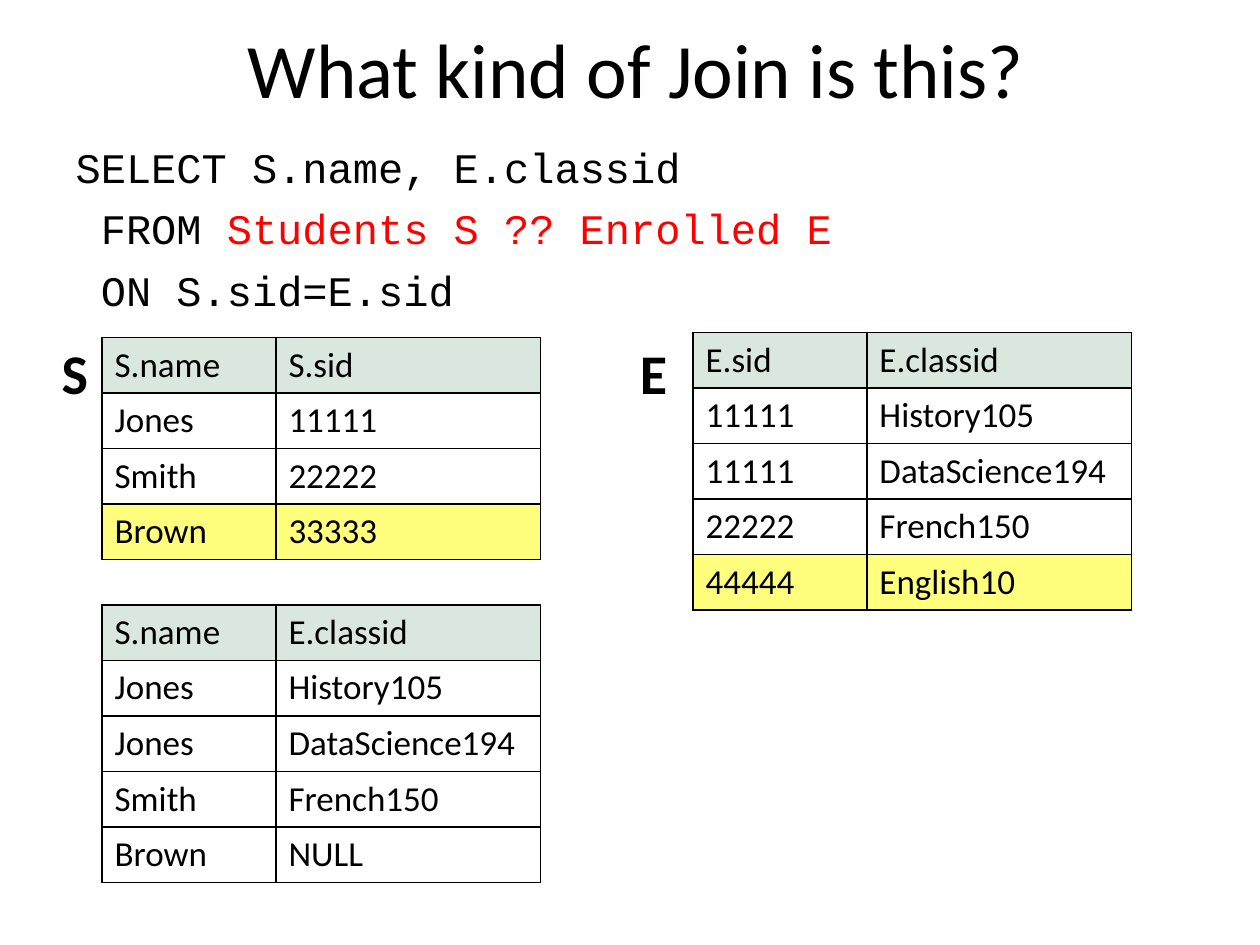
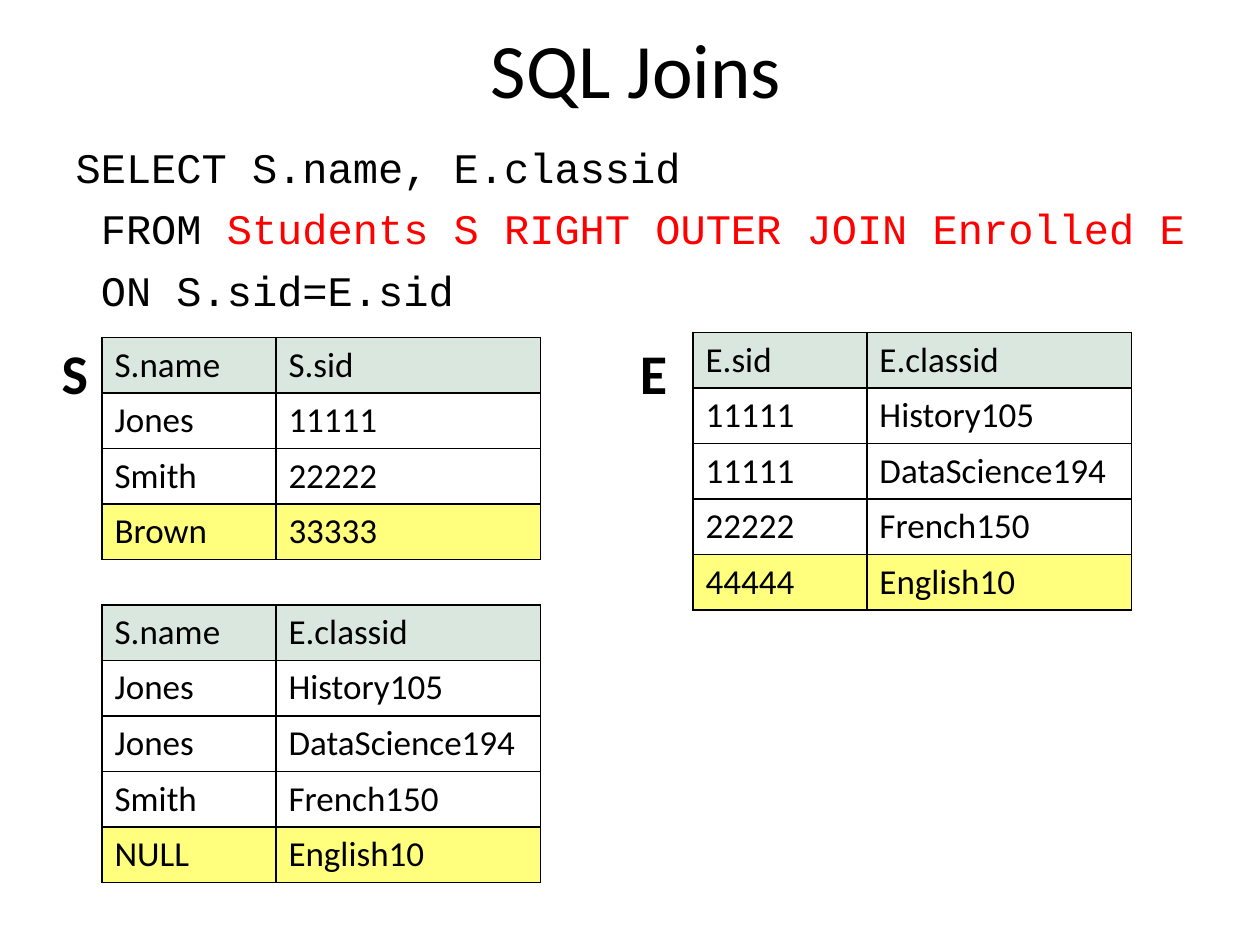
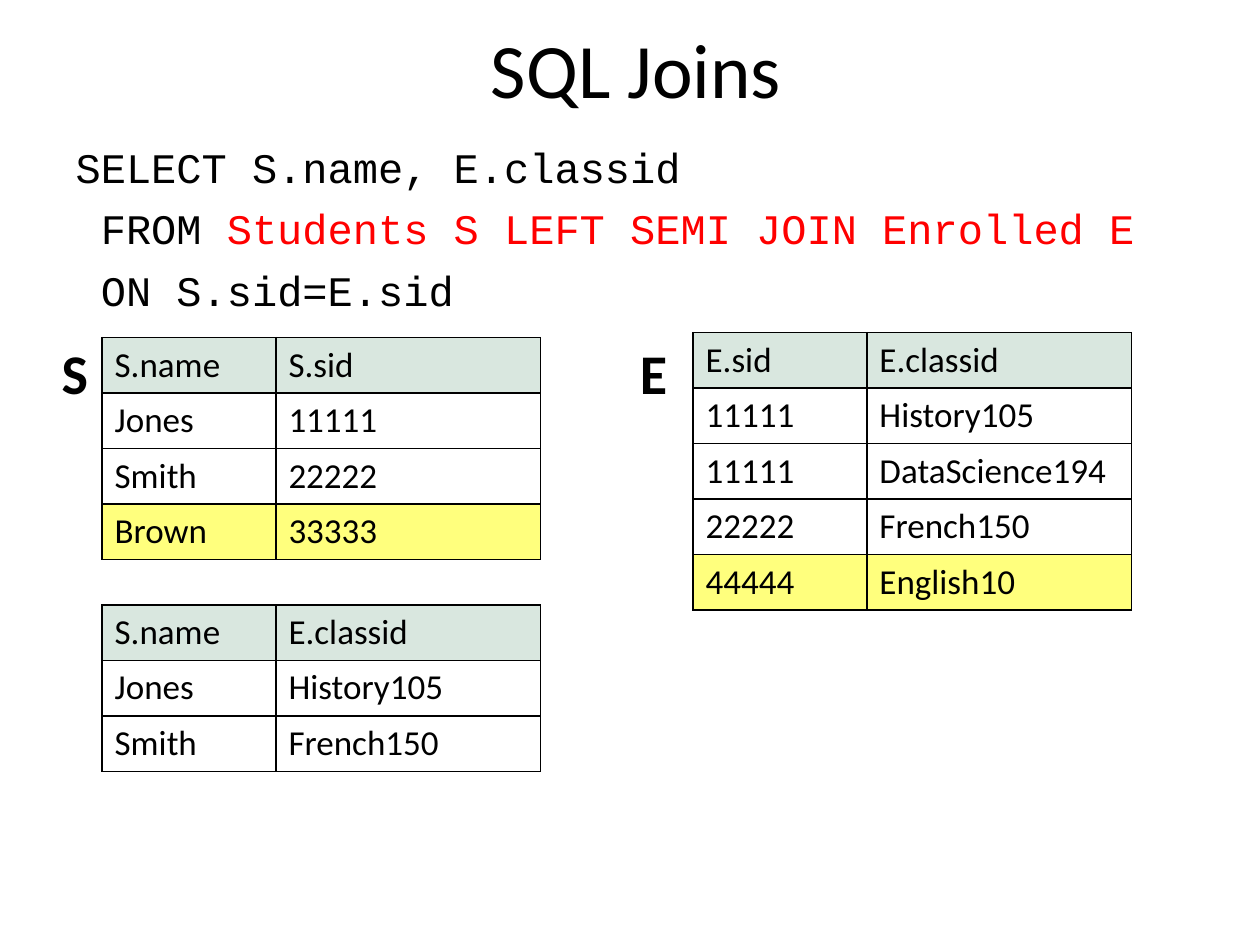
from dataclasses import dataclass

from lxml.etree import SubElement
from pptx import Presentation
from pptx.dml.color import RGBColor
from pptx.enum.text import MSO_ANCHOR, MSO_AUTO_SIZE, PP_ALIGN
from pptx.oxml.ns import qn
from pptx.slide import Slide
from pptx.util import Inches, Pt

GRID_COLUMNS, GRID_ROWS = 100, 75
SLIDE_WIDTH, SLIDE_HEIGHT = Inches(10), Inches(7.5)


@dataclass(frozen=True)
class Theme:
    text: str = "000000"
    accent: str = "FF0000"
    header: str = "D9E7DF"
    unmatched: str = "FFFF7D"
    border: str = "000000"
    border_width: int = Pt(1)
    font: str = "Calibri"
    code_font: str = "Courier New"
    title_size: int = 44
    label_size: int = 32
    code_size: int = 24
    cell_size: int = 20
    code_gap: float = 6.4


@dataclass(frozen=True)
class Box:
    column: float
    row: float
    columns: float
    rows: float

    def place(self) -> tuple[int, int, int, int]:
        return (across(self.column), down(self.row),
                across(self.columns), down(self.rows))


@dataclass(frozen=True)
class Relation:
    rows: tuple[tuple[str, str], ...]
    last_unmatched: bool = False


@dataclass(frozen=True)
class Label:
    text: str
    box: Box


@dataclass(frozen=True)
class JoinSlide:
    title: str
    operator: str
    result: Relation


THEME = Theme()
TITLE_BOX = Box(8.1, 0.8, 84.8, 9.1)
QUERY_BOX = Box(5, 9.9, 91.9, 61.9)
TABLE_COLUMNS = (13.8, 21)
TABLE_ROW = 4.3
STUDENTS_AT, ENROLLED_AT, RESULT_AT = (8.1, 26.8), (55, 26.4), (8.1, 48)
LABELS = (Label("E", Box(49.8, 26.4, 4.2, 6.4)), Label("S", Box(3.9, 26.4, 4.1, 6.4)))

STUDENTS = Relation((
    ("S.name", "S.sid"), ("Jones", "11111"), ("Smith", "22222"), ("Brown", "33333"),
), last_unmatched=True)
ENROLLED = Relation((
    ("E.sid", "E.classid"), ("11111", "History105"), ("11111", "DataScience194"),
    ("22222", "French150"), ("44444", "English10"),
), last_unmatched=True)
RESULT_HEADER = ("S.name", "E.classid")
MATCHES = (("Jones", "History105"), ("Jones", "DataScience194"), ("Smith", "French150"))

JOIN_SLIDES = (
    JoinSlide("What kind of Join is this?", "??",
              Relation((RESULT_HEADER, *MATCHES, ("Brown", "NULL")))),
    JoinSlide("SQL Joins", "RIGHT OUTER JOIN",
              Relation((RESULT_HEADER, *MATCHES, ("NULL", "English10")), last_unmatched=True)),
    JoinSlide("SQL Joins", "LEFT SEMI JOIN",
              Relation((RESULT_HEADER, MATCHES[0], MATCHES[2]))),
)


def across(columns: float) -> int:
    return round(SLIDE_WIDTH * columns / GRID_COLUMNS)


def down(rows: float) -> int:
    return round(SLIDE_HEIGHT * rows / GRID_ROWS)


def add_run(paragraph, text: str, size: int, font: str = THEME.font,
            color: str = THEME.text, bold: bool = False) -> None:
    run = paragraph.add_run()
    run.text = text
    run.font.name = font
    run.font.size = Pt(size)
    run.font.bold = bold
    run.font.color.rgb = RGBColor.from_string(color)


def move(shape, box: Box) -> None:
    shape.left, shape.top, shape.width, shape.height = box.place()


def fill_title(slide: Slide, text: str) -> None:
    title = slide.shapes.title
    move(title, TITLE_BOX)
    frame = title.text_frame
    frame.auto_size = MSO_AUTO_SIZE.NONE
    frame.vertical_anchor = MSO_ANCHOR.MIDDLE
    paragraph = frame.paragraphs[0]
    paragraph.alignment = PP_ALIGN.CENTER
    add_run(paragraph, text, THEME.title_size)


def fill_query(slide: Slide, operator: str) -> None:
    body = slide.placeholders[1]
    move(body, QUERY_BOX)
    frame = body.text_frame
    frame.auto_size = MSO_AUTO_SIZE.NONE
    frame.margin_top = Inches(0.13)
    lines = (
        (("SELECT S.name, E.classid", THEME.text),),
        ((" FROM ", THEME.text), (f"Students S {operator} Enrolled E", THEME.accent)),
        ((" ON S.sid=E.sid", THEME.text),),
    )
    for index, line in enumerate(lines):
        paragraph = frame.add_paragraph() if index else frame.paragraphs[0]
        properties = paragraph._p.get_or_add_pPr()
        properties.set("marL", "0")
        properties.set("indent", "0")
        SubElement(properties, qn("a:buNone"))
        paragraph.space_before = Pt(THEME.code_gap if index else 0)
        for text, color in line:
            add_run(paragraph, text, THEME.code_size, THEME.code_font, color)


def add_borders(cell) -> None:
    properties = cell._tc.get_or_add_tcPr()
    for side in ("a:lnL", "a:lnR", "a:lnT", "a:lnB"):
        line = SubElement(properties, qn(side), w=str(THEME.border_width))
        fill = SubElement(line, qn("a:solidFill"))
        SubElement(fill, qn("a:srgbClr"), val=THEME.border)


def add_relation(slide: Slide, relation: Relation, at: tuple[float, float]) -> None:
    count = len(relation.rows)
    box = Box(*at, sum(TABLE_COLUMNS), count * TABLE_ROW)
    table = slide.shapes.add_table(count, len(TABLE_COLUMNS), *box.place()).table
    table.first_row = table.horz_banding = False
    for column, width in zip(table.columns, TABLE_COLUMNS):
        column.width = across(width)
    for row_index, values in enumerate(relation.rows):
        table.rows[row_index].height = down(TABLE_ROW)
        highlighted = relation.last_unmatched and row_index == count - 1
        for column_index, value in enumerate(values):
            cell = table.cell(row_index, column_index)
            add_borders(cell)
            if row_index == 0 or highlighted:
                cell.fill.solid()
                color = THEME.unmatched if highlighted else THEME.header
                cell.fill.fore_color.rgb = RGBColor.from_string(color)
            else:
                cell.fill.background()
            add_run(cell.text_frame.paragraphs[0], value, THEME.cell_size)


def add_label(slide: Slide, label: Label) -> None:
    frame = slide.shapes.add_textbox(*label.box.place()).text_frame
    frame.word_wrap = False
    frame.auto_size = MSO_AUTO_SIZE.SHAPE_TO_FIT_TEXT
    add_run(frame.paragraphs[0], label.text, THEME.label_size, bold=True)


def add_join_slide(presentation, join: JoinSlide) -> None:
    slide = presentation.slides.add_slide(presentation.slide_layouts[1])
    fill_title(slide, join.title)
    fill_query(slide, join.operator)
    add_relation(slide, STUDENTS, STUDENTS_AT)
    add_relation(slide, ENROLLED, ENROLLED_AT)
    add_relation(slide, join.result, RESULT_AT)
    for label in LABELS:
        add_label(slide, label)


def main() -> None:
    presentation = Presentation()
    presentation.slide_width, presentation.slide_height = SLIDE_WIDTH, SLIDE_HEIGHT
    for join in JOIN_SLIDES:
        add_join_slide(presentation, join)
    presentation.save("out.pptx")


if __name__ == "__main__":
    main()
